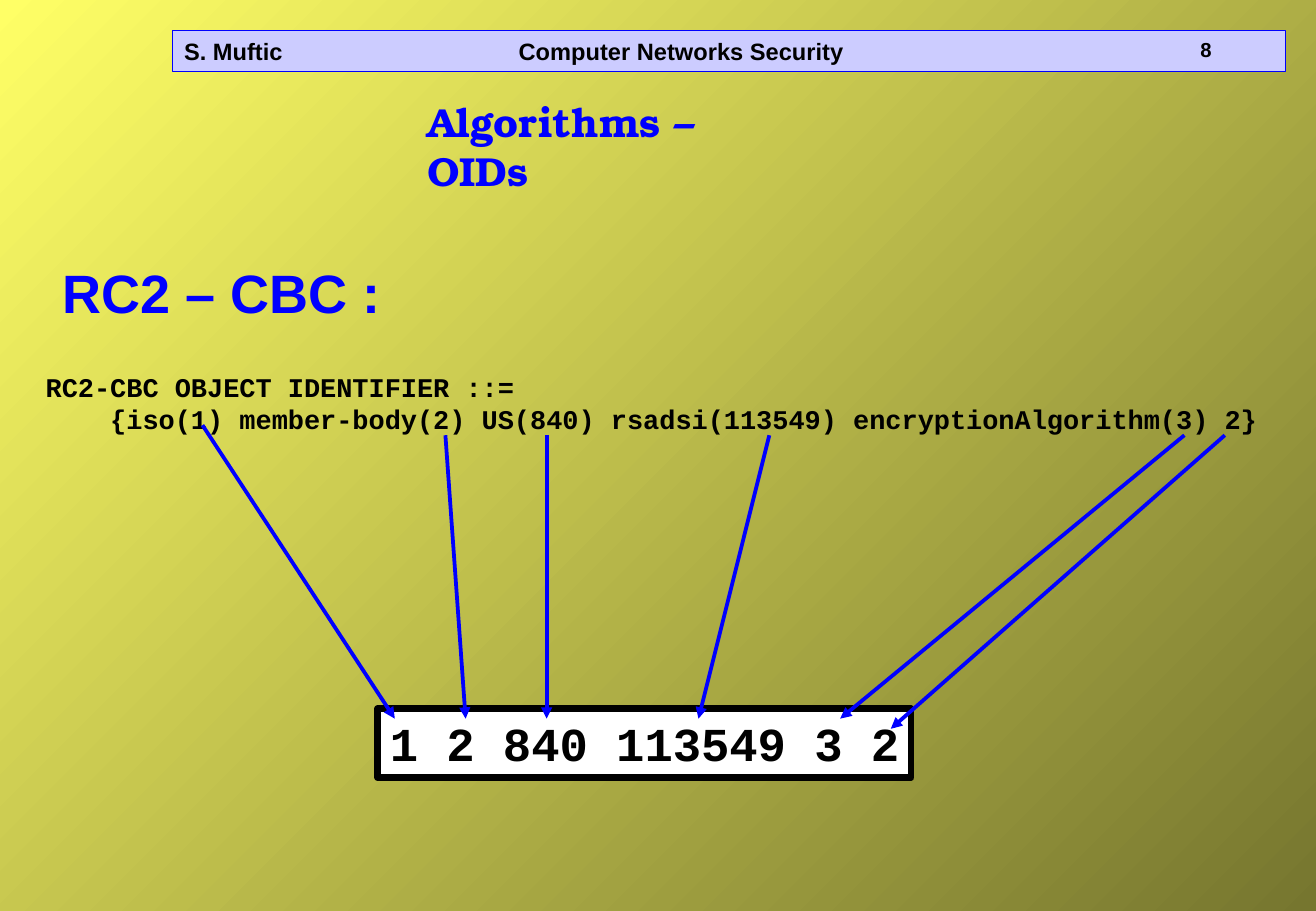
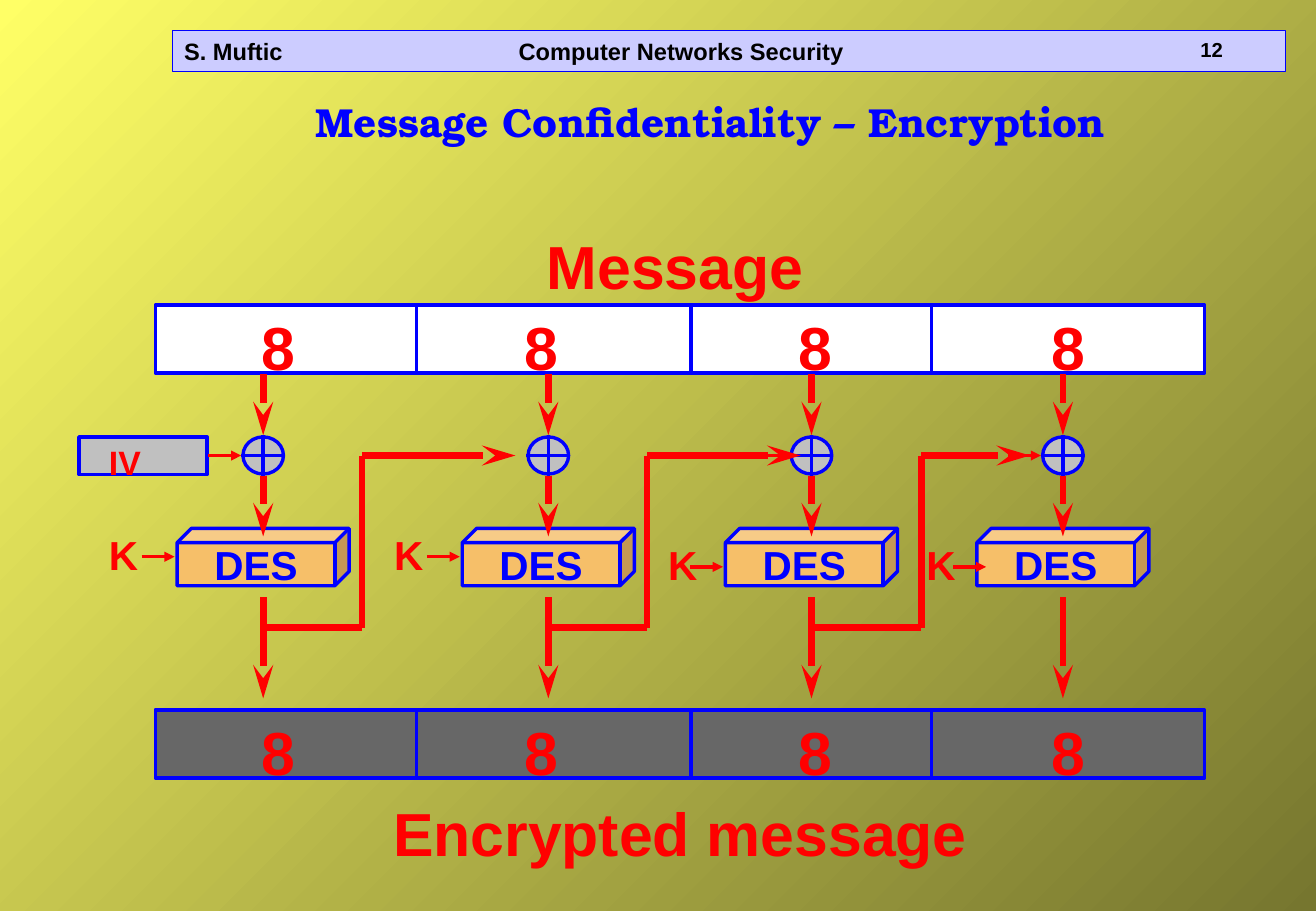
from itertools import pairwise
from lxml import etree
from pptx import Presentation
from pptx.dml.color import RGBColor
from pptx.enum import shapes, text
from pptx.oxml.ns import qn
from pptx.util import Pt

BLUE, RED, BLACK, WHITE = "0000FF", "FF0000", "000000", "FFFFFF"
BAND, SILVER, ORANGE, GRAY = "CCCCFF", "C0C0C0", "F6BF69", "676767"
BACK_DARK, BACK_LIGHT = "76762F", "FFFF66"
SANS, MONO, TITLE_FONT = "Arial", "Courier New", "TeX Gyre Bonum"
INSETS = (7.2, 3.6, 7.2, 3.6)
SHAPE, ALIGN, ANCHOR = shapes.MSO_SHAPE, text.PP_ALIGN, text.MSO_ANCHOR


def rgb(color):
    return RGBColor.from_string(color)


def points(*lengths):
    return [Pt(length) for length in lengths]


def write(shape, lines, size, color, font=SANS, align=ALIGN.LEFT,
          anchor=ANCHOR.TOP, wrap=True, insets=INSETS, tab=None):
    frame = shape.text_frame
    frame.text = lines
    frame.word_wrap = wrap
    frame.auto_size = text.MSO_AUTO_SIZE.NONE
    frame.vertical_anchor = anchor
    (frame.margin_left, frame.margin_top,
     frame.margin_right, frame.margin_bottom) = points(*insets)
    for paragraph in frame.paragraphs:
        paragraph.alignment = align
        if tab:
            stops = etree.SubElement(paragraph._p.get_or_add_pPr(), qn("a:tabLst"))
            etree.SubElement(stops, qn("a:tab"), pos=str(Pt(tab)), algn="l")
        paragraph.font.name = font
        paragraph.font.size = Pt(size)
        paragraph.font.bold = True
        paragraph.font.color.rgb = rgb(color)


def label(slide, box, lines, size, color, **style):
    write(slide.shapes.add_textbox(*points(*box)), lines, size, color, **style)


def block(slide, kind, box, fill, line=BLUE, weight=2):
    shape = slide.shapes.add_shape(kind, *points(*box))
    shape.shadow.inherit = False
    shape.fill.solid()
    shape.fill.fore_color.rgb = rgb(fill)
    shape.line.color.rgb = rgb(line)
    shape.line.width = Pt(weight)
    return shape


def line(slide, start, end, color, weight, head=None, length="med"):
    connector = slide.shapes.add_connector(
        shapes.MSO_CONNECTOR.STRAIGHT, *points(*start, *end))
    connector.line.color.rgb = rgb(color)
    connector.line.width = Pt(weight)
    if head:
        etree.SubElement(connector.line._get_or_add_ln(), qn("a:tailEnd"),
                         type=head, w="med", len=length)
    etree.SubElement(connector._element.spPr, qn("a:effectLst"))


def flow(slide, start, end, head="stealth"):
    line(slide, start, end, RED, 4, head, "lg")


def thin_arrow(slide, left, right, y):
    line(slide, (left, y), (right, y), RED, 2, "triangle")


def set_background(prs):
    fill = prs.slide_master.background.fill
    fill.gradient()
    fill.gradient_angle = 135
    for stop, color in zip(fill.gradient_stops, (BACK_DARK, BACK_LIGHT)):
        stop.color.rgb = rgb(color)


def add_slide(prs, number, title, title_box):
    """Add a slide with the lecture band and a title."""
    slide = prs.slides.add_slide(prs.slide_layouts[5])
    heading = slide.shapes.title
    heading.left, heading.top, heading.width, heading.height = points(*title_box)
    write(heading, title, 24, BLUE, TITLE_FONT)
    band = block(slide, SHAPE.RECTANGLE, (102, 18, 660, 24), BAND, weight=0.25)
    write(band, "S. Muftic\tComputer Networks Security", 14, BLACK,
          anchor=ANCHOR.MIDDLE, tab=198.3)
    label(slide, (704.4, 18.7, 50, 21.6), number, 12, BLACK)
    return slide


def object_identifier(slide, left, top):
    """Place the declaration, the encoded numbers and the arrows joining them."""
    label(slide, (left, top, 740, 46),
          "RC2-CBC OBJECT IDENTIFIER ::=\n"
          "    {iso(1) member-body(2) US(840) rsadsi(113549) encryptionAlgorithm(3) 2}",
          16, BLACK, font=MONO)
    encoded = block(slide, SHAPE.RECTANGLE, (left + 204, top + 204, 316, 41),
                    WHITE, BLACK, 4)
    write(encoded, "1 2 840 113549 3 2", 28, BLACK, MONO, wrap=False)
    for start_x, start_y, end_x, end_y in (
            (100, 36, 214, 210), (244, 42, 256, 210), (304, 42, 304, 210),
            (436, 42, 394, 210), (682, 42, 478, 210), (706, 42, 508, 216)):
        line(slide, (left + start_x, top + start_y), (left + end_x, top + end_y),
             BLUE, 2.25, "triangle")


def message_blocks(slide, left, top, fill):
    """Place a message bar divided into four 8-byte blocks."""
    block(slide, SHAPE.RECTANGLE, (left, top + 0.8, 622, 40.3), fill)
    for divider in (155, 317.5, 460):
        line(slide, (left + divider, top), (left + divider, top + 42), BLUE, 2)
    for size_left in (56, 212, 374.5, 524):
        label(slide, (left + size_left, top, 45, 50), "8", 36, RED)


def xor_gate(slide, x, y):
    block(slide, SHAPE.OVAL, (x - 12, y - 11, 24, 22), SILVER)
    line(slide, (x, y - 12), (x, y + 12), BLUE, 2)
    line(slide, (x - 13, y), (x + 13, y), BLUE, 2)


def cipher_stage(slide, x, top, key_left, key_arrow, key_y, has_input):
    """Place one XOR and DES column centred on x, below the message bar."""
    cube = block(slide, SHAPE.CUBE, (x - 51, top + 91.2, 102, 34), ORANGE)
    write(cube, "DES", 24, BLUE, align=ALIGN.CENTER, anchor=ANCHOR.MIDDLE,
          wrap=False, insets=(0, 0, 0, 0))
    xor_gate(slide, x, top + 48)
    for start, end in ((0, 36), (60, 96), (132, 192)):
        flow(slide, (x, top + start), (x, top + end))
    if has_input:
        thin_arrow(slide, x - 32.5, x - 13, top + 48)
    label(slide, (x + key_left, top + key_y - 19.5, 42, 36), "K", 24, RED)
    thin_arrow(slide, x + key_arrow, x + key_arrow + 19.5, top + key_y)


def feedback(slide, x, riser, tip, top):
    """Carry the output of the column at x up to the next XOR."""
    low, high = top + 150, top + 48
    flow(slide, (x, low), (riser, low), head=None)
    flow(slide, (riser, low), (riser, high), head=None)
    flow(slide, (riser, high), (tip, high))


def cbc_diagram(slide, left, top):
    label(slide, (left + 225, top - 48, 170, 50), "Message", 36, RED)
    label(slide, (left + 134, top + 288, 360, 50), "Encrypted message", 36, RED)
    message_blocks(slide, left, top, WHITE)
    message_blocks(slide, left, top + 240, GRAY)
    vector = block(slide, SHAPE.RECTANGLE, (left - 45.2, top + 79, 76, 22.3), SILVER)
    write(vector, "IV", 20, RED, insets=(17.8, 3, 0, 0))

    stage_top = top + 42
    stages = ((64, -98.5, -72, 108, True), (233, -98.5, -72, 108, False),
              (389, -92, -72, 114, True), (538, -88, -65, 114, True))
    for x, *details in stages:
        cipher_stage(slide, left + x, stage_top, *details)
    centers = [left + stage[0] for stage in stages]
    for (x, following), rise, gap in zip(
            pairwise(centers), (58.5, 58.5, 65), (19.5, 6.5, 19.5)):
        feedback(slide, x, x + rise, following - gap, stage_top)


def main():
    prs = Presentation()
    prs.slide_width, prs.slide_height = points(780, 540)
    set_background(prs)

    oids = add_slide(prs, "8", "Algorithms – OIDs", (246, 54, 200, 66))
    label(oids, (30, 150, 240, 46), "RC2 – CBC :", 32, BLUE)
    object_identifier(oids, 20, 216)

    encryption = add_slide(prs, "12", "Message Confidentiality – Encryption",
                           (180, 54, 500, 36))
    cbc_diagram(encryption, 92, 180)
    prs.save("out.pptx")


if __name__ == "__main__":
    main()
